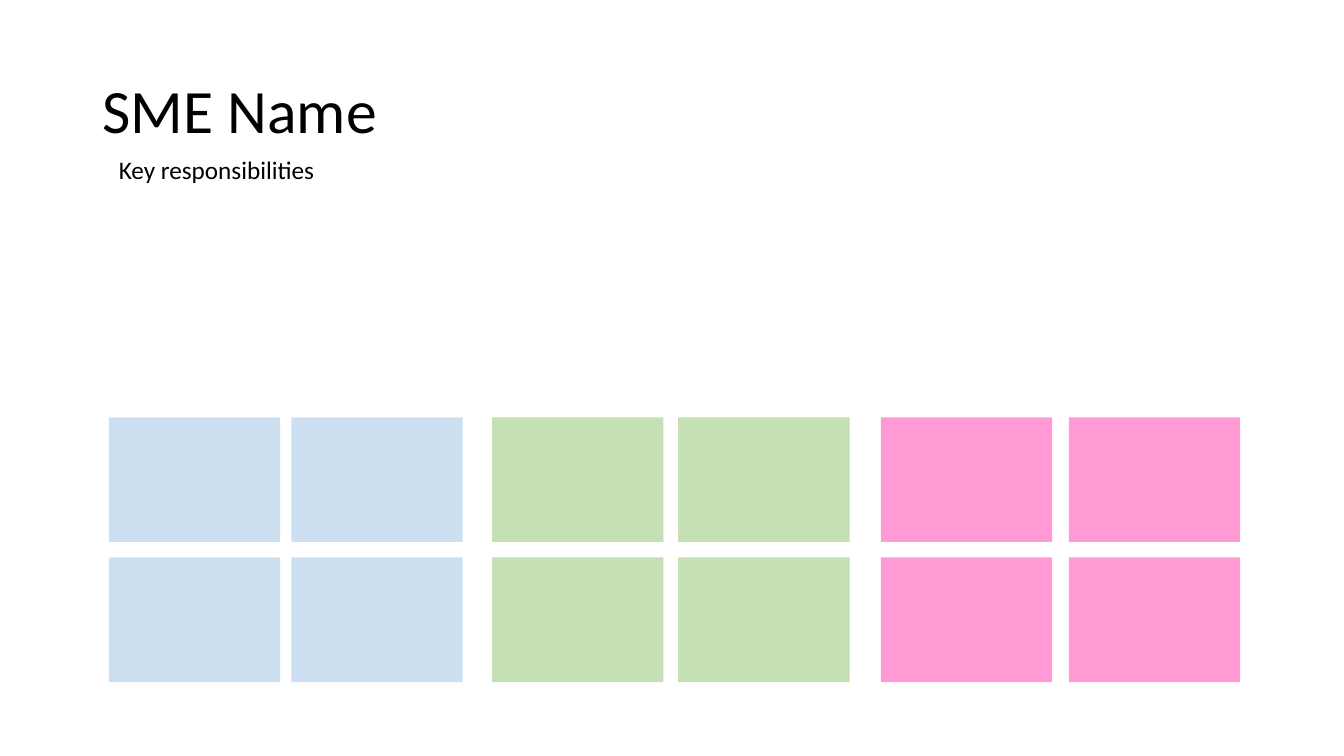
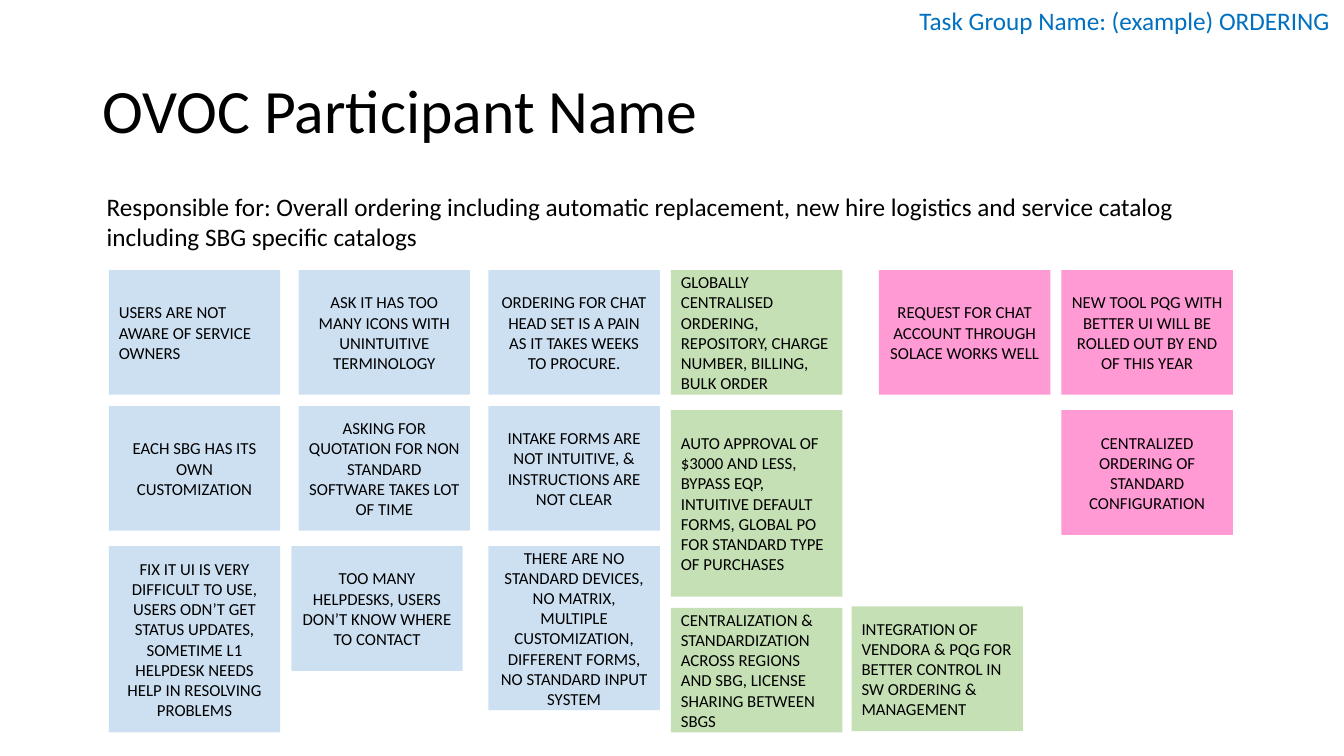
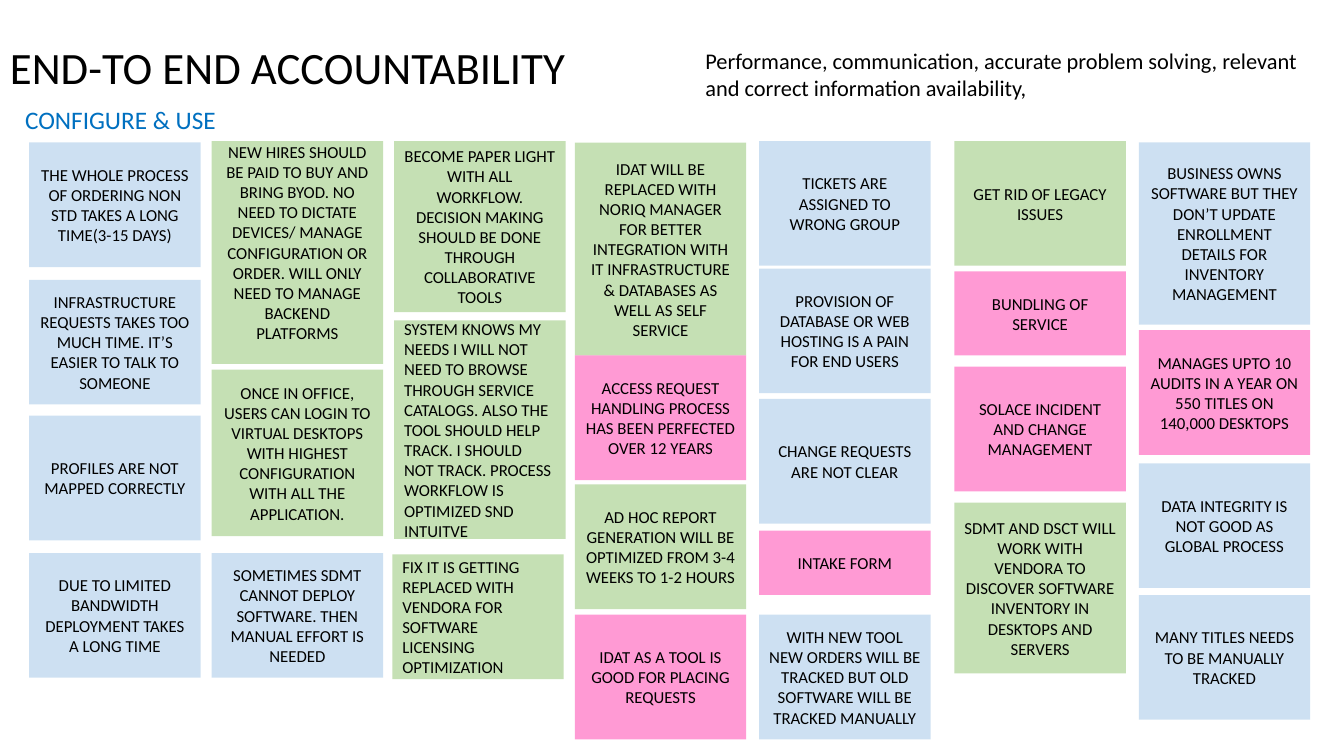
from lxml.etree import SubElement
from pptx import Presentation
from pptx.dml.color import RGBColor
from pptx.enum.shapes import MSO_SHAPE
from pptx.enum.text import MSO_ANCHOR, PP_ALIGN
from pptx.oxml.ns import qn
from pptx.util import Inches, Pt

# Shared style
COLOURS = {"blue": "9DC3E6", "green": "C5E0B4", "pink": "FF37AA",
           "black": "000000", "accent": "0070C0"}
OPACITY = {"blue": 50, "pink": 50}
FONT = "Calibri"
SLIDE_WIDTH, SLIDE_HEIGHT = 13.33, 7.5
COLUMN_PITCH, ROW_PITCH = 1.81, 1.39
CARD_WIDTH, CARD_ROWS = 1.7, 0.89


def write_text(shape, text, size=12, colour="black", align=PP_ALIGN.LEFT,
               anchor=MSO_ANCHOR.TOP, line_spacing=None, bottom_inset=0.05):
    frame = shape.text_frame
    frame.word_wrap = True
    frame.vertical_anchor = anchor
    frame.margin_bottom = Inches(bottom_inset)
    paragraph = frame.paragraphs[0]
    paragraph.alignment = align
    paragraph.line_spacing = line_spacing
    run = paragraph.add_run()
    run.text = text
    run.font.name = FONT
    run.font.size = Pt(size)
    run.font.color.rgb = RGBColor.from_string(COLOURS[colour])


class Deck:
    """Holds the presentation, the current slide and its card grid."""

    def __init__(self):
        self.presentation = Presentation()
        self.presentation.slide_width = Inches(SLIDE_WIDTH)
        self.presentation.slide_height = Inches(SLIDE_HEIGHT)

    def add_slide(self, grid_left, grid_top):
        layout = self.presentation.slide_layouts[6]
        self.slide = self.presentation.slides.add_slide(layout)
        self.grid_left, self.grid_top = grid_left, grid_top

    def text(self, text, left, top, width, height, **text_format):
        """Place text; lengths are percentages of the slide's size."""
        box = self.slide.shapes.add_textbox(
            Inches(left * SLIDE_WIDTH / 100), Inches(top * SLIDE_HEIGHT / 100),
            Inches(width * SLIDE_WIDTH / 100), Inches(height * SLIDE_HEIGHT / 100))
        write_text(box, text, **text_format)

    def title(self, text, left=6.9, top=5.33, size=44):
        self.text(text, left, top, 86.25, 19.33, size=size,
                  anchor=MSO_ANCHOR.MIDDLE, line_spacing=0.9)

    def card(self, column, row, colour, text="", rows=CARD_ROWS,
             align=PP_ALIGN.CENTER, **text_format):
        """Place a sticky note; lengths are columns and rows of the grid."""
        card = self.slide.shapes.add_shape(
            MSO_SHAPE.RECTANGLE,
            Inches(self.grid_left + column * COLUMN_PITCH),
            Inches(self.grid_top + row * ROW_PITCH),
            Inches(CARD_WIDTH), Inches(rows * ROW_PITCH))
        card.shadow.inherit = False
        card.line.fill.background()
        card.fill.solid()
        card.fill.fore_color.rgb = RGBColor.from_string(COLOURS[colour])
        if colour in OPACITY:
            colour_element = card.fill._xPr.find(".//" + qn("a:srgbClr"))
            alpha = SubElement(colour_element, qn("a:alpha"))
            alpha.set("val", str(OPACITY[colour] * 1000))
        if text:
            write_text(card, text, align=align, anchor=MSO_ANCHOR.MIDDLE,
                       **text_format)

    def column(self, column, cards):
        """Place (row, colour, text[, format]) cards down one column."""
        for row, colour, text, *text_format in cards:
            self.card(column, row, colour, text,
                      **(text_format[0] if text_format else {}))


LEFT = {"align": PP_ALIGN.LEFT}
deck = Deck()

# Slide 1: empty notes
deck.add_slide(1.08, 4.14)
deck.title("SME Name")
deck.text("Key responsibilities", 8.1, 19.73, 87.3, 9.47, size=18)
for colour, columns in {"blue": (0, 1), "green": (2.1, 3.12),
                        "pink": (4.23, 5.26)}.items():
    for column in columns:
        for row in range(2):
            deck.card(column, row, colour)

# Slide 2: participant notes
deck.add_slide(1.08, 2.68)
deck.title("OVOC Participant Name")
deck.text("Task Group Name: (example) ORDERING", 67.67, 0, 32.3, 5.33,
          size=18, colour="accent")
deck.text("Responsible for: Overall ordering including automatic replacement, "
          "new hire logistics and service catalog including SBG specific catalogs",
          7.2, 24.67, 87.3, 13.47, size=18)
deck.column(0, [
    (0, "blue", "USERS ARE NOT AWARE OF SERVICE OWNERS", LEFT),
    (0.97, "blue", "EACH SBG HAS ITS OWN CUSTOMIZATION"),
    (1.97, "blue", "FIX IT UI IS VERY DIFFICULT TO USE, USERS ODN’T GET STATUS "
     "UPDATES, SOMETIME L1 HELPDESK NEEDS HELP IN RESOLVING PROBLEMS",
     {"rows": 1.33}),
])
deck.column(1.04, [
    (0, "blue", "ASK IT HAS TOO MANY ICONS WITH UNINTUITIVE TERMINOLOGY"),
    (0.97, "blue", "ASKING FOR QUOTATION FOR NON STANDARD SOFTWARE TAKES LOT "
     "OF TIME"),
])
deck.card(1, 1.97, "blue", "TOO MANY HELPDESKS, USERS DON’T KNOW WHERE TO CONTACT")
deck.column(2.08, [
    (0, "blue", "ORDERING FOR CHAT HEAD SET IS A PAIN AS IT TAKES WEEKS TO "
     "PROCURE."),
    (0.97, "blue", "INTAKE FORMS ARE NOT INTUITIVE, & INSTRUCTIONS ARE NOT CLEAR"),
    (1.97, "blue", "THERE ARE NO STANDARD DEVICES, NO MATRIX, MULTIPLE "
     "CUSTOMIZATION, DIFFERENT FORMS, NO STANDARD INPUT SYSTEM", {"rows": 1.17}),
])
deck.column(3.08, [
    (0, "green", "GLOBALLY CENTRALISED ORDERING, REPOSITORY, CHARGE NUMBER, "
     "BILLING, BULK ORDER", LEFT),
    (1, "green", "AUTO APPROVAL OF $3000 AND LESS, BYPASS EQP, INTUITIVE DEFAULT "
     "FORMS, GLOBAL PO FOR STANDARD TYPE OF PURCHASES", {**LEFT, "rows": 1.33}),
    (2.41, "green", "CENTRALIZATION & STANDARDIZATION ACROSS REGIONS AND SBG, "
     "LICENSE SHARING BETWEEN SBGS", LEFT),
])
deck.card(4.07, 2.4, "green", "INTEGRATION OF VENDORA & PQG FOR BETTER CONTROL IN "
          "SW ORDERING & MANAGEMENT", **LEFT)
deck.card(4.22, 0, "pink", "REQUEST FOR CHAT ACCOUNT THROUGH SOLACE WORKS WELL")
deck.column(5.22, [
    (0, "pink", "NEW TOOL PQG WITH BETTER UI WILL BE ROLLED OUT BY END OF THIS "
     "YEAR"),
    (1, "pink", "CENTRALIZED ORDERING OF STANDARD CONFIGURATION"),
])

# Slide 3: accountability notes
deck.add_slide(0.29, 1.4)
deck.title("END-TO END ACCOUNTABILITY", left=0, top=-0.4, size=32)
deck.text("CONFIGURE & USE", 1.13, 13.2, 15.83, 5.33, size=18, colour="accent")
deck.text("Performance, communication, accurate problem solving, relevant and "
          "correct information availability,", 51.75, 5.6, 46.6, 8.53, size=16)
deck.column(0, [
    (0.01, "blue", "THE WHOLE PROCESS OF ORDERING NON STD TAKES A LONG "
     "TIME(3-15 DAYS)"),
    (0.99, "blue", "INFRASTRUCTURE REQUESTS TAKES TOO MUCH TIME. IT’S EASIER TO "
     "TALK TO SOMEONE"),
    (1.96, "blue", "PROFILES ARE NOT MAPPED CORRECTLY"),
    (2.94, "blue", "DUE TO LIMITED BANDWIDTH DEPLOYMENT TAKES A LONG TIME"),
])
deck.column(1, [
    (0, "green", "NEW HIRES SHOULD BE PAID TO BUY AND BRING BYOD. NO NEED TO "
     "DICTATE DEVICES/ MANAGE CONFIGURATION OR ORDER. WILL ONLY NEED TO MANAGE "
     "BACKEND PLATFORMS", {"rows": 1.59, "bottom_inset": 0.25}),
    (1.63, "green", "ONCE IN OFFICE, USERS CAN LOGIN TO VIRTUAL DESKTOPS WITH "
     "HIGHEST CONFIGURATION WITH ALL THE APPLICATION.", {"rows": 1.19}),
    (2.94, "blue", "SOMETIMES SDMT CANNOT DEPLOY SOFTWARE. THEN MANUAL EFFORT IS "
     "NEEDED"),
])
deck.column(2, [
    (0, "green", "BECOME PAPER LIGHT WITH ALL WORKFLOW. DECISION MAKING SHOULD "
     "BE DONE THROUGH COLLABORATIVE TOOLS", {"rows": 1.22}),
    (1.28, "green", "SYSTEM KNOWS MY NEEDS I WILL NOT NEED TO BROWSE THROUGH "
     "SERVICE CATALOGS. ALSO THE TOOL SHOULD HELP TRACK. I SHOULD NOT TRACK. "
     "PROCESS WORKFLOW IS OPTIMIZED SND INTUITVE", {**LEFT, "rows": 1.56}),
])
deck.card(1.99, 2.95, "green", "FIX IT IS GETTING REPLACED WITH VENDORA FOR SOFTWARE "
          "LICENSING OPTIMIZATION", **LEFT)
deck.column(2.99, [
    (0.01, "green", "IDAT WILL BE REPLACED WITH NORIQ MANAGER FOR BETTER "
     "INTEGRATION WITH IT INFRASTRUCTURE & DATABASES AS WELL AS SELF SERVICE",
     {"rows": 1.52}),
    (1.53, "pink", "ACCESS REQUEST HANDLING PROCESS HAS BEEN PERFECTED OVER 12 "
     "YEARS"),
    (2.45, "green", "AD HOC REPORT GENERATION WILL BE OPTIMIZED FROM 3-4 WEEKS "
     "TO 1-2 HOURS"),
    (3.38, "pink", "IDAT AS A TOOL IS GOOD FOR PLACING REQUESTS"),
])
deck.column(4, [
    (0, "blue", "TICKETS ARE ASSIGNED TO WRONG GROUP"),
    (0.91, "blue", "PROVISION OF DATABASE OR WEB HOSTING IS A PAIN FOR END USERS"),
    (1.84, "blue", "CHANGE REQUESTS ARE NOT CLEAR"),
    (2.78, "pink", "INTAKE FORM", {"rows": 0.46}),
    (3.38, "blue", "WITH NEW TOOL NEW ORDERS WILL BE TRACKED BUT OLD SOFTWARE "
     "WILL BE TRACKED MANUALLY"),
])
deck.column(5.07, [
    (0, "green", "GET RID OF LEGACY ISSUES"),
    (0.93, "pink", "BUNDLING OF SERVICE", {"rows": 0.6}),
    (1.61, "pink", "SOLACE INCIDENT AND CHANGE MANAGEMENT"),
    (2.58, "green", "SDMT AND DSCT WILL WORK WITH VENDORA TO DISCOVER SOFTWARE "
     "INVENTORY IN DESKTOPS AND SERVERS", {"rows": 1.22}),
])
deck.column(6.08, [
    (0.01, "blue", "BUSINESS OWNS SOFTWARE BUT THEY DON’T UPDATE ENROLLMENT "
     "DETAILS FOR INVENTORY MANAGEMENT", {"rows": 1.3}),
    (1.35, "pink", "MANAGES UPTO 10 AUDITS IN A YEAR ON 550 TITLES ON 140,000 "
     "DESKTOPS"),
    (2.3, "blue", "DATA INTEGRITY IS NOT GOOD AS GLOBAL PROCESS"),
    (3.24, "blue", "MANY TITLES NEEDS TO BE MANUALLY TRACKED"),
])

deck.presentation.save("out.pptx")
